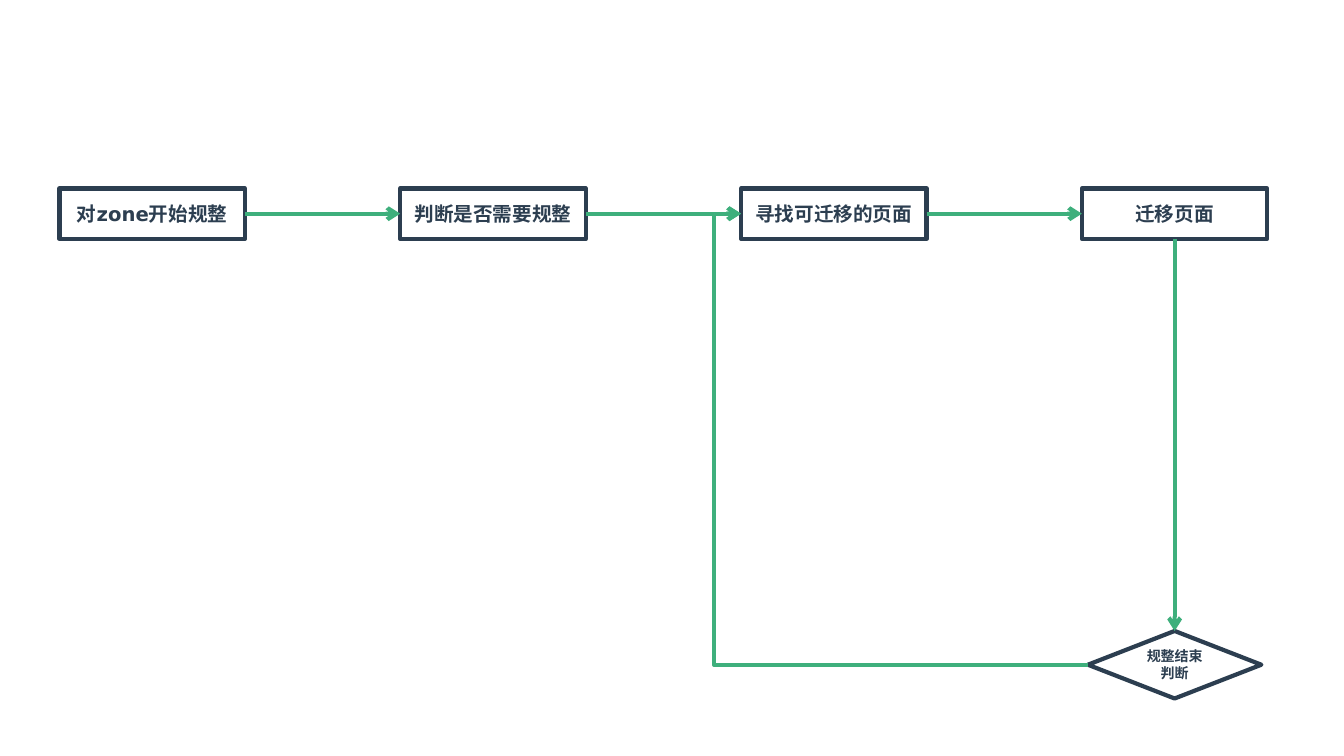
from lxml import etree
from pptx import Presentation
from pptx.dml.color import RGBColor
from pptx.enum.shapes import MSO_CONNECTOR as LINK, MSO_SHAPE as SHAPE
from pptx.enum.text import MSO_ANCHOR, PP_ALIGN
from pptx.oxml.ns import qn
from pptx.util import Pt

PX = 9144  # 100 px to the inch
COLORS = {"ink": "2C3E50", "flow": "3EAF7C"}
FONT = "DejaVu Sans"
STROKE = Pt(3)

STEPS = ["对zone开始规整", "判断是否需要规整", "寻找可迁移的页面", "迁移页面"]
DECISION = "规整结束判断"
LOOP_STEP = 2  # the step the decision returns to

LEFT, TOP, STEP_W, STEP_H, PITCH = 59, 187, 184, 50, 338
DECISION_TOP, DECISION_W, DECISION_H = 626, 172, 67
LOOP_X = 708
SITE_TOP, SITE_LEFT, SITE_BOTTOM, SITE_RIGHT = range(4)


def rgb(name):
    return RGBColor.from_string(COLORS[name])


def add_node(s, kind, box, text, size):
    sp = s.shapes.add_shape(kind, *(v * PX for v in box))
    sp.shadow.inherit = False
    sp.fill.background()
    sp.line.color.rgb = rgb("ink")
    sp.line.width = STROKE
    tf = sp.text_frame
    tf.word_wrap = True
    tf.vertical_anchor = MSO_ANCHOR.MIDDLE
    p = tf.paragraphs[0]
    p.alignment = PP_ALIGN.CENTER
    r = p.add_run()
    r.text = text
    r.font.name = FONT
    r.font.size = Pt(size)
    r.font.bold = True
    r.font.color.rgb = rgb("ink")
    return sp


def add_arrow(s, start, start_site, end, end_site, kind=LINK.STRAIGHT):
    """Join two nodes at their connection sites, with an arrowhead at the end."""
    cx = s.shapes.add_connector(kind, 0, 0, 0, 0)
    cx.begin_connect(start, start_site)
    cx.end_connect(end, end_site)
    cx.line.color.rgb = rgb("flow")
    cx.line.width = STROKE
    etree.SubElement(cx.line._get_or_add_ln(), qn("a:tailEnd"), type="arrow")
    etree.SubElement(cx._element.spPr, qn("a:effectLst"))
    return cx


def set_bend(cx, x):
    """Put the middle leg of a bent connector at x px."""
    ratio = (cx.begin_x - x * PX) / (cx.begin_x - cx.end_x)
    guides = cx._element.spPr.find(qn("a:prstGeom")).get_or_add_avLst()
    etree.SubElement(guides, qn("a:gd"), name="adj1",
                     fmla=f"val {round(ratio * 100000)}")


def main():
    prs = Presentation()
    prs.slide_width, prs.slide_height = 1333 * PX, 750 * PX
    s = prs.slides.add_slide(prs.slide_layouts[6])

    steps = [add_node(s, SHAPE.RECTANGLE,
                      (LEFT + i * PITCH, TOP, STEP_W, STEP_H), text, 14)
             for i, text in enumerate(STEPS)]
    decision_left = LEFT + (len(STEPS) - 1) * PITCH + (STEP_W - DECISION_W) // 2
    decision = add_node(s, SHAPE.FLOWCHART_DECISION,
                        (decision_left, DECISION_TOP, DECISION_W, DECISION_H),
                        DECISION, 10)

    for a, b in zip(steps, steps[1:]):
        add_arrow(s, a, SITE_RIGHT, b, SITE_LEFT)
    add_arrow(s, steps[-1], SITE_BOTTOM, decision, SITE_TOP)
    loop = add_arrow(s, decision, SITE_LEFT, steps[LOOP_STEP], SITE_LEFT, LINK.ELBOW)
    set_bend(loop, LOOP_X)

    prs.save("out.pptx")


if __name__ == "__main__":
    main()
